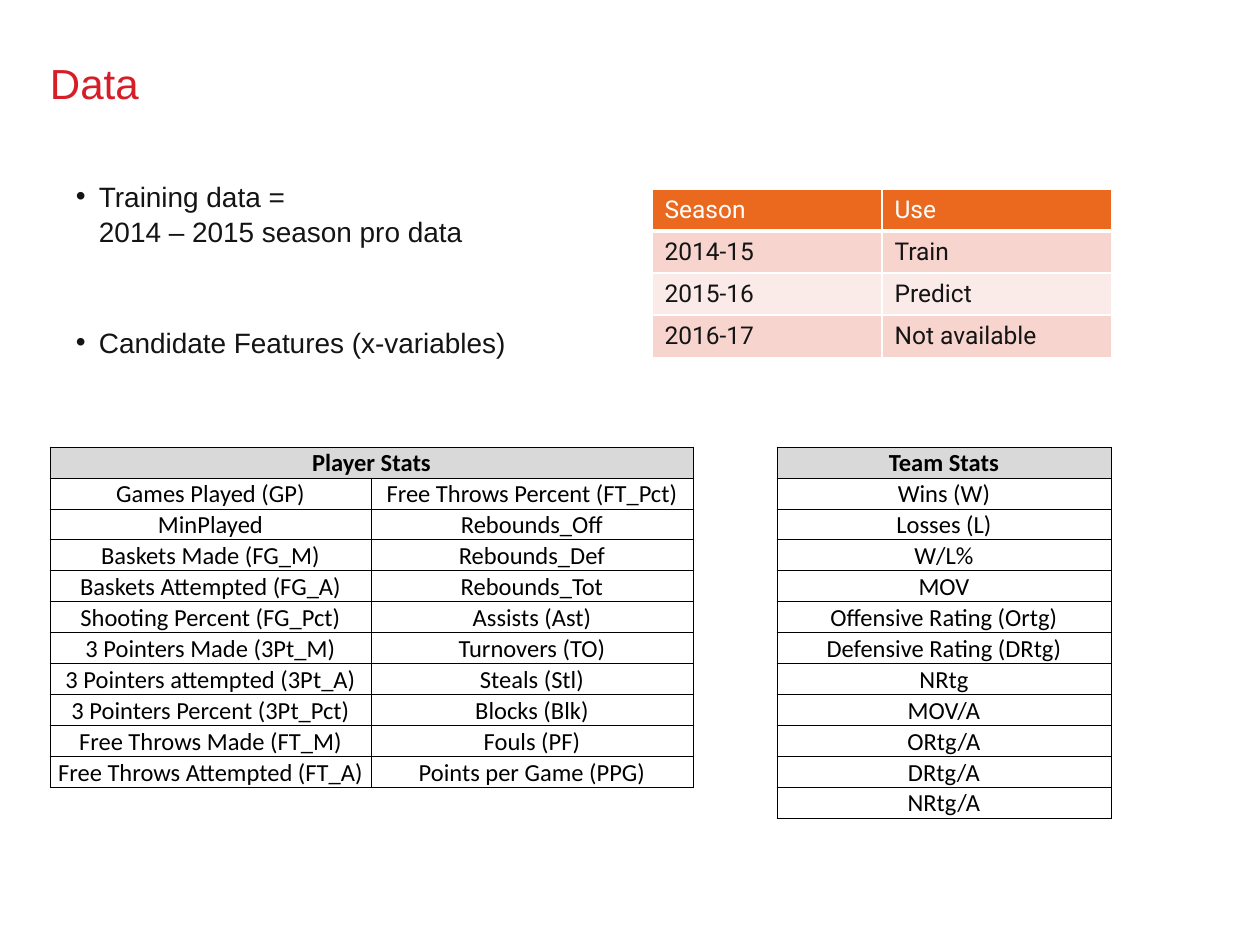
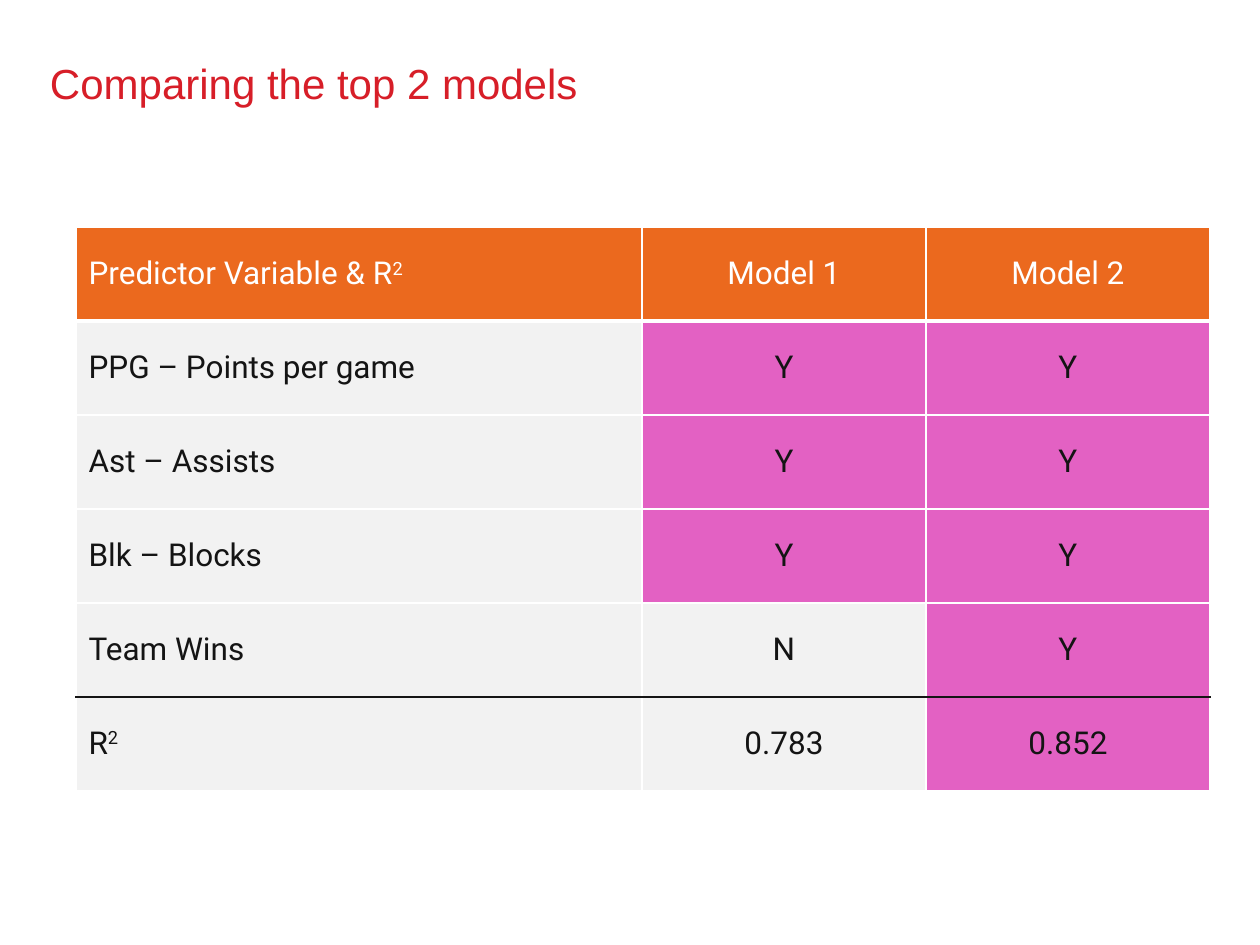
from copy import deepcopy
from itertools import zip_longest
from lxml.etree import SubElement
from pptx import Presentation
from pptx.dml.color import RGBColor
from pptx.enum.text import MSO_ANCHOR, PP_ALIGN
from pptx.oxml.ns import qn
from pptx.util import Emu, Pt

RED, INK, BLACK, WHITE = "D71E28", "141414", "000000", "FFFFFF"
ORANGE, GREY, PALE, PINK = "EB691E", "D9D9D9", "F2F2F2", "E361C3"
BANDS = ["F7D4CD", "FBEBE8"]
PLAIN = "{2D5ABB26-0587-4C30-8999-92F81FD0307C}"
SIDES = {"L": (0, -1), "R": (0, 1), "T": (-1, 0), "B": (1, 0)}

TITLES = ["Data", "Comparing the top 2 models"]
POINTS = [
    ("Training data =\v2014 – 2015 season pro data", 12),
    ("Candidate Features (x-variables)", 43),
]
SEASONS = [
    ("Season", "Use"),
    ("2014-15", "Train"),
    ("2015-16", "Predict"),
    ("2016-17", "Not available"),
]
PLAYER = [
    ("Games Played (GP)", "Free Throws Percent (FT_Pct)"),
    ("MinPlayed", "Rebounds_Off"),
    ("Baskets Made (FG_M)", "Rebounds_Def"),
    ("Baskets Attempted (FG_A)", "Rebounds_Tot"),
    ("Shooting Percent (FG_Pct)", "Assists (Ast)"),
    ("3 Pointers Made (3Pt_M)", "Turnovers (TO)"),
    ("3 Pointers attempted (3Pt_A)", "Steals (Stl)"),
    ("3 Pointers Percent (3Pt_Pct)", "Blocks (Blk)"),
    ("Free Throws Made (FT_M)", "Fouls (PF)"),
    ("Free Throws Attempted (FT_A)", "Points per Game (PPG)"),
]
TEAM = ["Wins (W)", "Losses (L)", "W/L%", "MOV", "Offensive Rating (Ortg)",
        "Defensive Rating (DRtg)", "NRtg", "MOV/A", "ORtg/A", "DRtg/A", "NRtg/A"]
MODELS = [
    ("Predictor Variable & R^2", "Model 1", "Model 2"),
    ("PPG – Points per game", "Y", "Y"),
    ("Ast – Assists", "Y", "Y"),
    ("Blk – Blocks", "Y", "Y"),
    ("Team Wins", "N", "Y"),
    ("R^2", "0.783", "0.852"),
]


def px(size):
    return Emu(size * 914400 // 126)


def paint(hue):
    return RGBColor.from_string(hue)


def apply(item, form):
    for name, value in form.items():
        setattr(item, name, value)


def style(run, face, size, hue, bold=False):
    apply(run.font, {"name": face, "size": Pt(size), "bold": bold})
    run.font.color.rgb = paint(hue)


def add_box(slide, *area):
    frame = slide.shapes.add_textbox(*map(px, area)).text_frame
    apply(frame, {"word_wrap": True, "margin_left": 0, "margin_right": 0,
                  "margin_top": 0, "margin_bottom": 0})
    return frame


def add_title(slide, text):
    para = add_box(slide, 50, 63, 1160, 139).paragraphs[0]
    para.line_spacing = 0.9
    para.text = text
    style(para.runs[0], "Arial", 24, RED)


def add_points(slide):
    frame = add_box(slide, 76, 178, 1134, 745)
    for num, (text, gap) in enumerate(POINTS):
        para = frame.add_paragraph() if num else frame.paragraphs[0]
        para.text = text
        apply(para, {"space_before": Pt(gap), "line_spacing": 1.05})
        for run in para.runs:
            style(run, "Arial", 16, INK)
        for stop in para._p.findall(qn("a:br")):
            stop.insert(0, deepcopy(para.runs[0]._r.rPr))
        props = para._p.get_or_add_pPr()
        apply_xml = {"marL": px(23), "indent": -px(23)}
        for name, value in apply_xml.items():
            props.set(name, str(value))
        SubElement(props, qn("a:buFont"), typeface="Arial")
        SubElement(props, qn("a:buChar"), char="•")


def add_edges(cell, edges):
    props = cell._tc.get_or_add_tcPr()
    for side in SIDES:
        if side in edges:
            hue, width = edges[side]
            line = SubElement(props, qn("a:ln" + side), w=str(Pt(width)))
            fill = SubElement(line, qn("a:solidFill"))
            SubElement(fill, qn("a:srgbClr"), val=hue)


def add_text(cell, text, face, size, hue, bold, align):
    para = cell.text_frame.paragraphs[0]
    para.alignment = align
    if not text:
        SubElement(para._p, qn("a:endParaRPr"), sz=str(size * 100))
        return
    for num, part in enumerate(text.split("^")):
        run = para.add_run()
        run.text = part
        style(run, face, size, hue, bold)
        if num:
            run._r.get_or_add_rPr().set("baseline", "30000")


def add_grid(slide, spot, cols, high, rows, look, edge, form):
    area = (*spot, sum(cols), high * len(rows))
    table = slide.shapes.add_table(len(rows), len(cols), *map(px, area)).table
    apply(table, {"first_row": False, "horz_banding": False})
    table._tbl.tblPr.find(qn("a:tableStyleId")).text = PLAIN
    for col, wide in zip(table.columns, cols):
        col.width = px(wide)
    for r, row in enumerate(rows):
        table.rows[r].height = px(high)
        for c, text in enumerate(row):
            cell = table.cell(r, c)
            fill, *font = look(r, c, text)
            add_text(cell, text, *font)
            apply(cell, form)
            add_edges(cell, edge(r, c))
            if fill:
                cell.fill.solid()
                cell.fill.fore_color.rgb = paint(fill)
            else:
                cell.fill.background()
    return table


def season_look(r, c, text):
    fill = BANDS[(r - 1) % 2] if r else ORANGE
    return fill, "Roboto", 14, INK if r else WHITE, False, PP_ALIGN.LEFT


def model_look(r, c, text):
    best = text == "Y" or text == MODELS[-1][-1]
    fill = (PINK if best else PALE) if r else ORANGE
    align = PP_ALIGN.CENTER if c else PP_ALIGN.LEFT
    return fill, "Roboto", 18, INK if r else WHITE, False, align


def stat_look(r, c, text):
    fill = GREY if r == 0 and text is not None else None
    return fill, "Calibri", 14, BLACK, r == 0, PP_ALIGN.CENTER


def white_edge(r, c):
    edges = {side: (WHITE, 1) for side in SIDES}
    if r == 0:
        edges["B"] = (WHITE, 3)
    return edges


def model_edge(r, c):
    edges = white_edge(r, c)
    last = len(MODELS) - 1
    if r >= last - 1:
        edges["T" if r == last else "B"] = (INK, 1)
    return edges


def add_stats(slide):
    rows = [("Player Stats", "", None, "Team Stats")]
    for pair, team in zip_longest(PLAYER, TEAM, fillvalue=(None, None)):
        rows.append((*pair, None, team))
    live = {(r, c) for r, row in enumerate(rows)
            for c, text in enumerate(row) if text is not None}

    def stat_edge(r, c):
        return {side: (BLACK, 0.5) for side, (down, over) in SIDES.items()
                if live & {(r, c), (r + down, c + over)}}

    form = {"vertical_anchor": MSO_ANCHOR.BOTTOM, "margin_left": px(1),
            "margin_right": px(1), "margin_top": px(1), "margin_bottom": 0}
    table = add_grid(slide, (50, 447), [321, 322, 84, 334], 31, rows,
                     stat_look, stat_edge, form)
    table.cell(0, 0).merge(table.cell(0, 1))


def main():
    deck = Presentation()
    apply(deck, {"slide_width": px(1260), "slide_height": px(945)})
    slides = [deck.slides.add_slide(deck.slide_layouts[6]) for _ in TITLES]
    for slide, text in zip(slides, TITLES):
        add_title(slide, text)
    data, models = slides
    add_points(data)
    add_stats(data)
    add_grid(data, (652, 189), [230, 230], 41, SEASONS, season_look, white_edge,
             {"vertical_anchor": MSO_ANCHOR.TOP})
    add_grid(models, (76, 227), [566, 284, 284], 94, MODELS, model_look, model_edge,
             {"vertical_anchor": MSO_ANCHOR.MIDDLE})
    deck.save("out.pptx")


if __name__ == "__main__":
    main()
